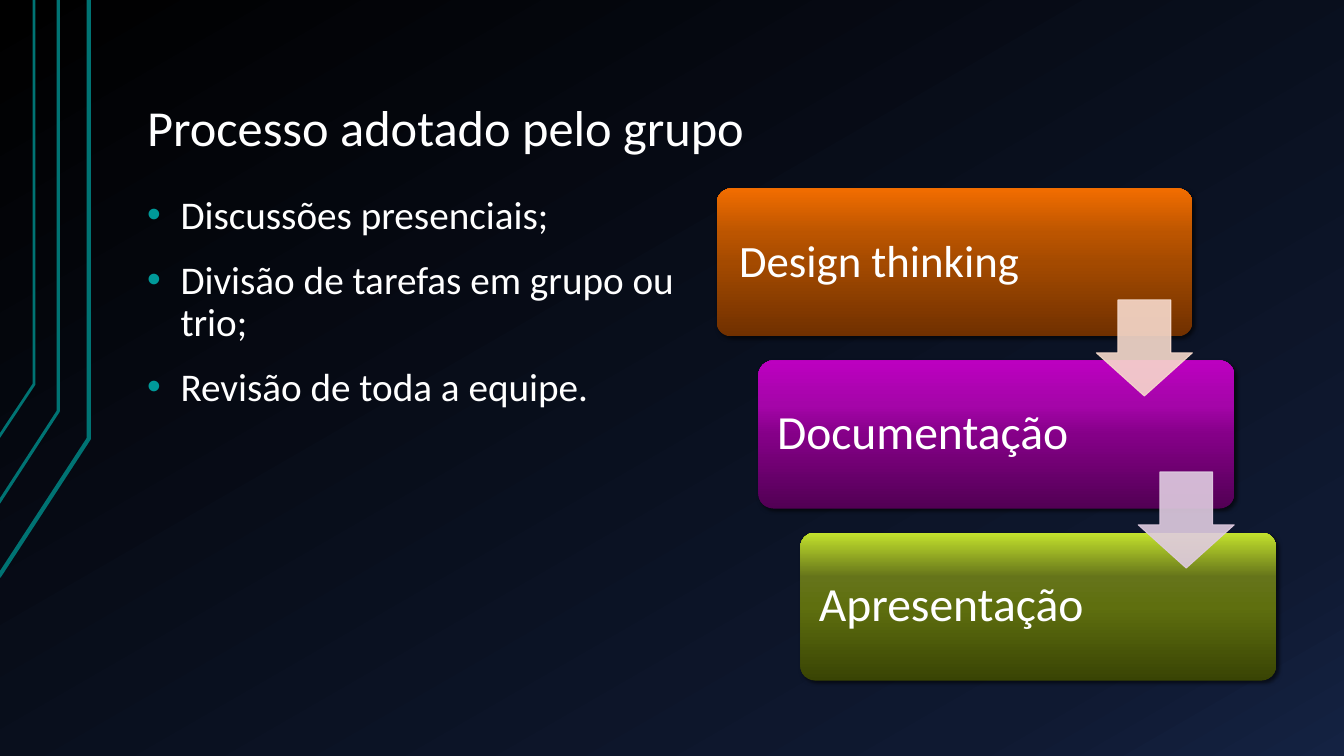
from collections import namedtuple
from dataclasses import dataclass

from lxml.etree import SubElement
from pptx import Presentation
from pptx.dml.color import RGBColor
from pptx.enum.shapes import MSO_SHAPE as Preset
from pptx.enum.text import MSO_ANCHOR as Anchor, PP_ALIGN as Align
from pptx.oxml.ns import qn
from pptx.util import Cm, Pt

Box = namedtuple("Box", "left top width height")
Step = namedtuple("Step", "label size align label_width inset stops arrow")


@dataclass(frozen=True)
class Theme:
    """Colours, font and type sizes of the slide."""
    font: str = "Calibri"
    text: str = "FFFFFF"
    bullet: str = "009999"
    rail: str = "007373"
    shadow: str = "000000"
    title_size: int = 36
    body_size: int = 28
    first_step_size: int = 32
    step_size: int = 34
    background: tuple = ((0, "000000"), (85, "0F1931"), (100, "142242"))
    orange: tuple = ((0, "703000"), (50, "A44A00"), (70, "BC5500"), (100, "F26D00"))
    purple: tuple = ((0, "520054"), (50, "850088"), (70, "A505A9"), (100, "BC00C0"))
    green: tuple = ((0, "394404"), (50, "5F6F0F"), (70, "65741A"), (100, "C4E32D"))
    orange_arrow: str = "F7DACC"
    purple_arrow: str = "E0CCE1"


THEME = Theme()
STEPS = (
    Step("Design thinking", THEME.first_step_size, Align.CENTER, 7.98, 0.34,
         THEME.orange, THEME.orange_arrow),
    Step("Documentação", THEME.step_size, Align.LEFT, 8.31, 0.36,
         THEME.purple, THEME.purple_arrow),
    Step("Apresentação", THEME.step_size, Align.LEFT, 8.31, 0.36,
         THEME.green, None),
)
TOPICS = ("Discussões presenciais;", "Divisão de tarefas em grupo ou trio;",
          "Revisão de toda a equipe.")


def emu(box):
    """Return the sides of a box given in centimetres as lengths."""
    return [Cm(side) for side in box]


def add_color(parent, color, alpha=100):
    """Append an RGB colour with its opacity in percent."""
    rgb = SubElement(parent, qn("a:srgbClr"), val=color)
    if alpha < 100:
        SubElement(rgb, qn("a:alpha"), val=str(alpha * 1000))


def set_gradient(fill, owner, stops, angle):
    """Give the owner of a fill a linear gradient with a clockwise angle."""
    fill.gradient()
    fill.gradient_angle = 360 - angle
    stop_list = next(owner.iter(qn("a:gsLst")))
    for default_stop in list(stop_list):
        stop_list.remove(default_stop)
    for position, color in stops:
        add_color(SubElement(stop_list, qn("a:gs"), pos=str(position * 1000)), color)


def add_text(slide, box, lines, size, inset=(0.33, 0.18), anchor=Anchor.TOP,
             align=Align.LEFT):
    """Add a wrapped text box and return its paragraphs."""
    frame = slide.shapes.add_textbox(*emu(box)).text_frame
    frame.word_wrap = True
    frame.vertical_anchor = anchor
    frame.margin_left = frame.margin_right = Cm(inset[0])
    frame.margin_top = frame.margin_bottom = Cm(inset[1])
    frame.text = "\n".join(lines)
    for paragraph in frame.paragraphs:
        paragraph.alignment = align
        paragraph.line_spacing = 0.9
        for run in paragraph.runs:
            run.font.name = THEME.font
            run.font.size = Pt(size)
            run.font.color.rgb = RGBColor.from_string(THEME.text)
    return frame.paragraphs


def add_rails(slide, box):
    """Draw the three bent lines at the left edge."""
    rails = ((2.24, 11.05, 14.53, 3), (1.47, 10.36, 12.67, 2.25), (0.86, 9.68, 11.02, 2))
    for bend_x, bend_y, end_y, weight in rails:
        right = box.left + bend_x
        outline = slide.shapes.build_freeform(
            Cm(box.left - 0.03), Cm(box.top + end_y))
        outline.add_line_segments(
            [(Cm(right), Cm(box.top + bend_y)), (Cm(right), Cm(box.top))], close=False)
        rail = outline.convert_to_shape()
        rail.shadow.inherit = False
        rail.fill.background()
        rail.line.color.rgb = RGBColor.from_string(THEME.rail)
        rail.line.width = Pt(weight)


def add_topics(slide, box):
    """List the topics with coloured bullets."""
    for topic in add_text(slide, box, TOPICS, THEME.body_size):
        topic.space_before = Pt(16)
        properties = topic._p.get_or_add_pPr()
        properties.set("marL", str(Cm(0.84)))
        properties.set("indent", str(Cm(-0.84)))
        add_color(SubElement(properties, qn("a:buClr")), THEME.bullet)
        SubElement(properties, qn("a:buFont"), typeface="Arial")
        SubElement(properties, qn("a:buChar"), char="•")


def add_card(slide, box, step):
    """Draw one step card with its label."""
    card = slide.shapes.add_shape(Preset.ROUNDED_RECTANGLE, *emu(box))
    card.adjustments[0] = 0.1
    set_gradient(card.fill, card.element, step.stops, 270)
    card.line.fill.background()
    card.shadow.inherit = False
    effects = next(card.element.iter(qn("a:effectLst")))
    shadow = SubElement(effects, qn("a:outerShdw"), blurRad=str(Pt(3)),
                        dist=str(Pt(2)), dir=str(45 * 60000))
    add_color(shadow, THEME.shadow, 60)
    label_box = Box(box.left + 0.11, box.top + 0.11, step.label_width, box.height - 0.22)
    add_text(slide, label_box, [step.label], step.size, (step.inset, step.inset),
             Anchor.MIDDLE, step.align)


def add_arrow(slide, box, color):
    """Draw the translucent arrow that leads to the next card."""
    arrow = slide.shapes.add_shape(Preset.DOWN_ARROW, *emu(box))
    arrow.adjustments[0], arrow.adjustments[1] = 0.55, 0.45
    arrow.shadow.inherit = False
    arrow.line.width = Pt(0.75)
    for fill in (arrow.fill, arrow.line.fill):
        fill.solid()
        fill.fore_color.rgb = RGBColor.from_string(color)
    for rgb in arrow.element.spPr.iter(qn("a:srgbClr")):
        SubElement(rgb, qn("a:alpha"), val="90000")


def add_process(slide, box):
    """Place the step cards as a staircase joined by arrows."""
    width, height, arrow_side = 11.99, 3.73, 2.42
    last = len(STEPS) - 1
    shift_x, shift_y = (box.width - width) / last, (box.height - height) / last
    cards = [Box(box.left + i * shift_x, box.top + i * shift_y, width, height)
             for i in range(len(STEPS))]
    for card, step in zip(cards, STEPS):
        add_card(slide, card, step)
    for card, step in zip(cards[:-1], STEPS):
        add_arrow(slide, Box(card.left + width - arrow_side, card.top + 2.81,
                             arrow_side, arrow_side), step.arrow)


def add_process_slide(deck, box):
    """Build the slide about the process of the group."""
    slide = deck.slides.add_slide(deck.slide_layouts[6])
    set_gradient(slide.background.fill, slide.element, THEME.background, 60)
    add_rails(slide, box)
    left, top = box.left + 3.38, box.top + 4.75
    add_text(slide, Box(left, box.top + 0.76, 28.78, 3.4),
             ["Processo adotado pelo grupo"], THEME.title_size, anchor=Anchor.BOTTOM)
    add_topics(slide, Box(left, top, 14.1, 12.4))
    add_process(slide, Box(box.left + 18.06, top, 14.1, 12.4))


deck = Presentation()
page = Box(0, 0, 33.87, 19.05)
deck.slide_width, deck.slide_height = Cm(page.width), Cm(page.height)
add_process_slide(deck, page)
deck.save("out.pptx")
